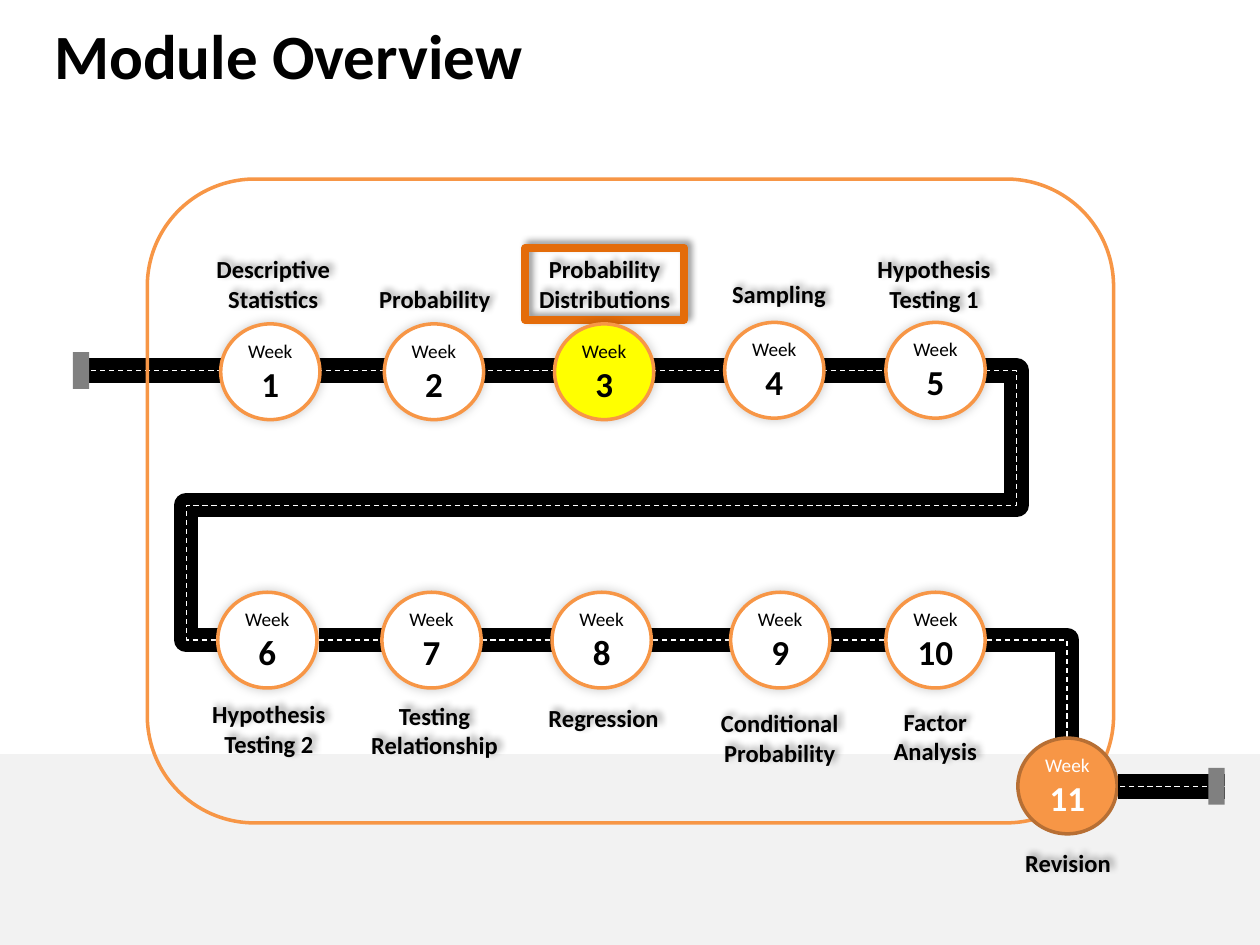
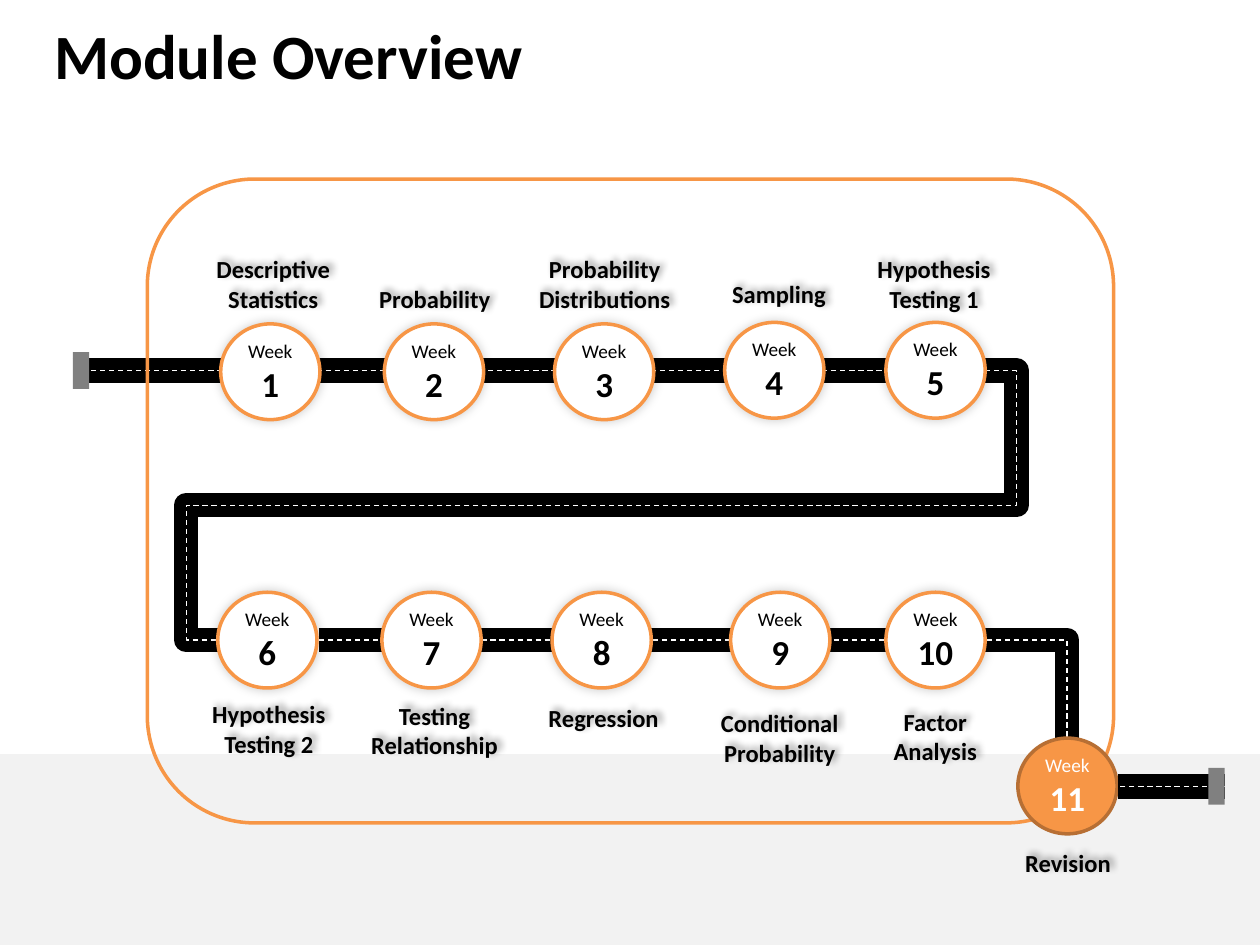
from dataclasses import dataclass
from lxml import etree
from pptx import Presentation
from pptx import util as u
from pptx.dml.color import RGBColor
from pptx.enum import dml, shapes, text
from pptx.oxml import ns

TITLE = "Module Overview"
ACTIVE = (3, None)
WEEKS = [
    (("Descriptive", "Statistics"), (4.45, 6.53), (4.09, 5.0, 2.84)),
    (("Probability",), (7.75, 6.53), (7.37, 5.61, 2.79)),
    (("Probability", "Distributions"), (11.18, 6.53), (10.59, 5.0, 3.2)),
    (("Sampling",), (14.61, 6.5), (14.5, 5.51, 2.41)),
    (("Hypothesis", "Testing 1"), (17.86, 6.5), (17.42, 5.0, 2.82)),
    (("Hypothesis", "Testing 2"), (4.39, 11.94), (4.01, 13.97, 2.82)),
    (("Testing", "Relationship"), (7.7, 11.94), (7.21, 14.0, 3.1)),
    (("Regression",), (11.13, 11.94), (10.8, 14.05, 2.74)),
    (("Conditional", "Probability"), (14.73, 11.94), (14.27, 14.15, 2.9)),
    (("Factor", "Analysis"), (17.86, 11.94), (17.6, 14.12, 2.51)),
    (("Revision",), (20.52, 14.88), (20.4, 16.97, 2.26)),
]
START = ("line", (1.47, 7.47, 17.86, 7.47), ())
LOOP = ("bentConnector5", (19.86, 7.47, 4.39, 12.9), (-4100, 50000, 104100))
DROP = ("bentConnector2", (6.43, 12.9, 21.51, 14.88), ())
FINISH = ("line", (24.69, 15.85, 22.53, 15.85), ())
LABEL_H = {1: 0.86, 2: 1.45}
BALL = (2.0, 1.93)
CAP = (0.33, 0.74)


@dataclass(frozen=True)
class Theme:
    font: str = "Calibri"
    ink: str = "000000"
    white: str = "FFFFFF"
    band: str = "F2F2F2"
    grey: str = "808080"
    ring: str = "F79646"
    rim: str = "B76F34"
    mark: str = "E46C0A"
    glow: str = "FFFF00"
    head: int = 36
    label: int = 14
    week: int = 11
    num: int = 20
    edge: float = 2
    thick: float = 4.5
    road: float = 14
    dash: float = 0.75


T = Theme()


def rgb(code):
    return RGBColor.from_string(code)


def cms(nums):
    return [u.Cm(n) for n in nums]


def stroke(line, color, width):
    line.color.rgb = rgb(color)
    line.width = u.Pt(width)


def shade(shape, alpha, blur, dist):
    fx = shape._element.spPr.find(ns.qn("a:effectLst"))
    if fx is None:
        fx = etree.SubElement(shape._element.spPr, ns.qn("a:effectLst"))
    out = etree.SubElement(fx, ns.qn("a:outerShdw"), blurRad=str(u.Pt(blur)),
                           dist=str(u.Pt(dist)), dir="18900000",
                           algn="ctr", rotWithShape="0")
    tint = etree.SubElement(out, ns.qn("a:srgbClr"), val=T.ink)
    etree.SubElement(tint, ns.qn("a:alpha"), val=str(alpha * 1000))


def style(para, size, color, bold, align=text.PP_ALIGN.CENTER):
    para.alignment = align
    for run in para.runs:
        font = run.font
        font.name, font.size, font.bold = T.font, u.Pt(size), bold
        font.color.rgb = rgb(color)


def block(slide, kind, box, fill=None, line=None, width=T.edge):
    shape = slide.shapes.add_shape(kind, *cms(box))
    shape.shadow.inherit = False
    if fill:
        shape.fill.solid()
        shape.fill.fore_color.rgb = rgb(fill)
    else:
        shape.fill.background()
    if line:
        stroke(shape.line, line, width)
    else:
        shape.line.fill.background()
    return shape


def track(slide, route, color, width, dashed=False):
    kind, ends, bends = route
    link = slide.shapes.add_connector(shapes.MSO_CONNECTOR.STRAIGHT, *cms(ends))
    stroke(link.line, color, width)
    if dashed:
        link.line.dash_style = dml.MSO_LINE.DASH
    props = link._element.spPr
    etree.SubElement(props, ns.qn("a:effectLst"))
    geom = props.find(ns.qn("a:prstGeom"))
    geom.set("prst", kind)
    guides = geom.find(ns.qn("a:avLst"))
    for i, bend in enumerate(bends, 1):
        etree.SubElement(guides, ns.qn("a:gd"), name=f"adj{i}", fmla=f"val {bend}")


def road(slide, route):
    track(slide, route, T.ink, T.road)
    track(slide, route, T.white, T.dash, True)


def cap(slide, left, mid):
    block(slide, shapes.MSO_SHAPE.RECTANGLE, (left, mid - CAP[1] / 2, *CAP), T.grey)


def label(slide, lines, spot, active):
    left, top, width = spot
    box = (left, top, width, LABEL_H[len(lines)])
    if active:
        shape = block(slide, shapes.MSO_SHAPE.RECTANGLE, box, None, T.mark, T.thick)
    else:
        shape = slide.shapes.add_textbox(*cms(box))
    shade(shape, 40, 4, 3)
    frame = shape.text_frame
    frame.text = "\n".join(lines)
    frame.word_wrap = False
    frame.vertical_anchor = text.MSO_ANCHOR.TOP
    frame.auto_size = text.MSO_AUTO_SIZE.SHAPE_TO_FIT_TEXT
    for para in frame.paragraphs:
        style(para, T.label, T.ink, True)


def ball(slide, num, spot, active):
    last = num == len(WEEKS)
    fill = T.ring if last else T.glow if active else T.white
    shape = block(slide, shapes.MSO_SHAPE.OVAL, (*spot, *BALL), fill,
                  T.rim if last else T.ring)
    if not last:
        shade(shape, 20, 6, 0)
    frame = shape.text_frame
    frame.margin_left = frame.margin_right = 0
    frame.vertical_anchor = text.MSO_ANCHOR.MIDDLE
    frame.text = f"Week\n{num}"
    color = T.white if last else T.ink
    style(frame.paragraphs[0], T.week, color, False)
    style(frame.paragraphs[1], T.num, color, True)


def title(slide):
    head = slide.shapes.title
    head.left, head.top, head.width, head.height = cms((0.84, 0.2, 22.86, 2.41))
    frame = head.text_frame
    frame.text = TITLE
    frame.vertical_anchor = text.MSO_ANCHOR.TOP
    style(frame.paragraphs[0], T.head, T.ink, True, text.PP_ALIGN.LEFT)


def build(slide, active):
    title(slide)
    road(slide, START)
    block(slide, shapes.MSO_SHAPE.ROUNDED_RECTANGLE, (2.97, 3.61, 19.48, 12.98),
          None, T.ring)
    cap(slide, 1.47, 7.47)
    road(slide, DROP)
    road(slide, LOOP)
    for num, (lines, spot, place) in enumerate(WEEKS, 1):
        label(slide, lines, place, num == active)
    for num, (lines, spot, place) in enumerate(WEEKS, 1):
        ball(slide, num, spot, num == active)
    road(slide, FINISH)
    cap(slide, 24.36, 15.85)


def main():
    deck = Presentation()
    deck.slide_width, deck.slide_height = cms((25.4, 19.05))
    base = deck.slide_layouts[5]
    pages = [deck.slides.add_slide(base) for _ in ACTIVE]
    band = block(pages[0], shapes.MSO_SHAPE.RECTANGLE, (0, 15.24, 25.4, 3.81),
                 T.band, T.band)
    base.shapes._spTree.insert(2, band._element)
    for page, active in zip(pages, ACTIVE):
        build(page, active)
    deck.save("out.pptx")


if __name__ == "__main__":
    main()
